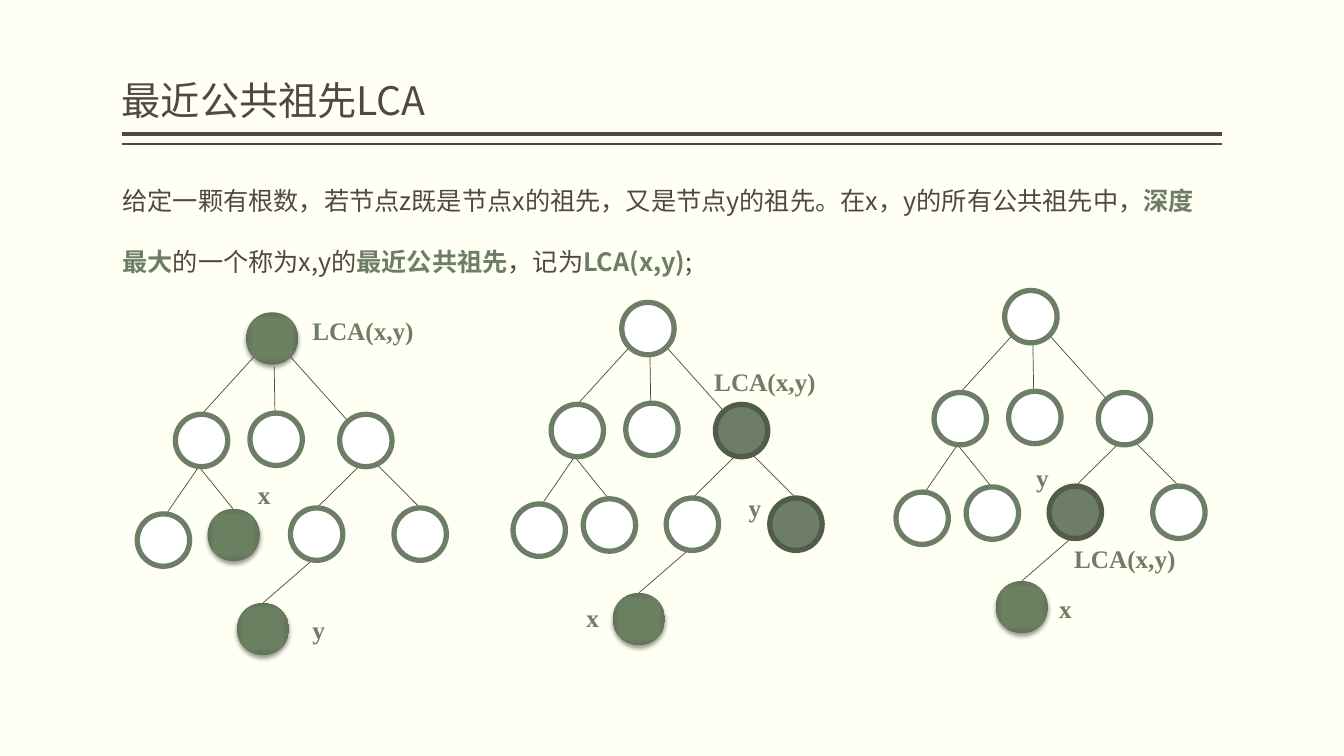
from lxml import etree
from pptx import Presentation
from pptx.dml.color import RGBColor
from pptx.enum.shapes import MSO_CONNECTOR, MSO_SHAPE
from pptx.enum.text import MSO_ANCHOR
from pptx.oxml import parse_xml
from pptx.oxml.ns import nsdecls, qn
from pptx.util import Cm, Pt

STRAIGHT = MSO_CONNECTOR.STRAIGHT
OVAL = MSO_SHAPE.OVAL
TOP, BOTTOM = MSO_ANCHOR.TOP, MSO_ANCHOR.BOTTOM

IVORY, BROWN, GREEN, DARK_GREEN, WHITE = "FFFFF3", "514843", "6D7D66", "515C4B", "FFFFFF"
SANS, SERIF = "Noto Sans CJK SC", "Times New Roman"
DIAMETER = 1.32

GLOSSY_FILL = (
    f'<a:gradFill {nsdecls("a")} rotWithShape="1"><a:gsLst>'
    '<a:gs pos="0"><a:srgbClr val="6B8162"/></a:gs>'
    '<a:gs pos="71000"><a:srgbClr val="6A8061"/></a:gs>'
    '<a:gs pos="100000"><a:srgbClr val="5F7256"/></a:gs></a:gsLst>'
    '<a:path path="rect"><a:fillToRect l="50000" t="50000" r="50000" b="50000"/></a:path>'
    '</a:gradFill>')
SOFT_SHADOW = (
    f'<a:outerShdw {nsdecls("a")} blurRad="39370" dist="25400" dir="5400000" rotWithShape="0">'
    '<a:srgbClr val="000000"><a:alpha val="38000"/></a:srgbClr></a:outerShdw>')

# Node offsets from the root circle, in cm
NODES = {
    "root": (0, 0),
    "left": (-1.78, 2.57), "middle": (0.1, 2.54), "right": (2.36, 2.57),
    "left-left": (-2.74, 5.08), "left-right": (-0.97, 4.95),
    "right-left": (1.12, 4.93), "right-right": (3.73, 4.93),
    "bottom": (-0.23, 7.32),
}
# Edge ends, measured from the root circle in the same way
EDGES = [
    (0.2, 1.12, -1.12, 2.57), (0.71, 1.37, 0.73, 2.57), (1.12, 1.12, 2.57, 2.74),
    (-1.17, 3.86, -2.01, 5.08), (-1.17, 3.91, -0.33, 4.95),
    (2.95, 3.78, 1.78, 4.93), (3.3, 3.84, 4.39, 4.93), (0.43, 7.32, 1.7, 6.22),
]
# Root position, styles of the marked nodes, labels with their positions
TREES = [
    ((6.2, 7.87), {"root": "glossy", "left-right": "glossy", "bottom": "glossy"},
     [("y", 7.62, 15.34), ("x", 6.25, 11.94), ("LCA(x,y)", 7.62, 7.82)]),
    ((15.67, 7.62), {"right": "solid", "right-right": "solid", "bottom": "glossy"},
     [("y", 18.62, 12.27), ("x", 14.53, 15.04), ("LCA(x,y)", 17.75, 9.09)]),
    ((25.32, 7.32), {"right-left": "solid", "bottom": "glossy"},
     [("y", 25.86, 11.53), ("x", 26.44, 14.81), ("LCA(x,y)", 26.82, 13.56)]),
]


def color(value):
    return RGBColor.from_string(value)


class SlideBuilder:
    """Draws styled elements on one slide; lengths are in cm."""

    node_styles = {"plain": (WHITE, GREEN), "solid": (GREEN, DARK_GREEN)}

    def __init__(self, slide):
        self.slide = slide
        slide.background.fill.solid()
        slide.background.fill.fore_color.rgb = color(IVORY)

    def line(self, x1, y1, x2, y2, width):
        connector = self.slide.shapes.add_connector(
            STRAIGHT, Cm(x1), Cm(y1), Cm(x2), Cm(y2))
        connector.line.width = Pt(width)
        connector.line.color.rgb = color(BROWN)
        etree.SubElement(connector._element.spPr, qn("a:effectLst"))

    def node(self, x, y, style):
        shape = self.slide.shapes.add_shape(
            OVAL, Cm(x), Cm(y), Cm(DIAMETER), Cm(DIAMETER))
        shape.shadow.inherit = False
        if style == "glossy":
            shape.line.fill.background()
            shape.fill.background()
            properties = shape._element.spPr
            properties.replace(properties.find(qn("a:noFill")), parse_xml(GLOSSY_FILL))
            properties.find(qn("a:effectLst")).append(parse_xml(SOFT_SHADOW))
            return
        fill, outline = self.node_styles[style]
        shape.fill.solid()
        shape.fill.fore_color.rgb = color(fill)
        shape.line.color.rgb = color(outline)
        shape.line.width = Pt(3.78)

    def text(self, x, y, width, height, runs, size, name,
             line_spacing=1, side_inset=0.25, anchor=TOP):
        frame = self.slide.shapes.add_textbox(
            Cm(x), Cm(y), Cm(width), Cm(height)).text_frame
        frame_format = {
            "word_wrap": True, "vertical_anchor": anchor,
            "margin_left": Cm(side_inset), "margin_right": Cm(side_inset),
            "margin_top": Cm(0.13), "margin_bottom": Cm(0.13)}
        for key, value in frame_format.items():
            setattr(frame, key, value)
        paragraph = frame.paragraphs[0]
        paragraph.line_spacing = line_spacing
        for content, ink, bold in runs:
            run = paragraph.add_run()
            run.text = content
            run.font.color.rgb = color(ink)
            for key, value in {"size": Pt(size), "name": name, "bold": bold}.items():
                setattr(run.font, key, value)
            east_asian = etree.SubElement(run.font._element, qn("a:ea"))
            east_asian.set("typeface", name)

    def label(self, content, x, y):
        width = 1.17 if len(content) == 1 else 3.3
        self.text(x, y, width, 1.02, [(content, GREEN, True)], 18, SERIF)

    def tree(self, root, marked, labels):
        left, top = root
        for x1, y1, x2, y2 in EDGES:
            self.line(left + x1, top + y1, left + x2, top + y2, 0.5)
        for name, (x, y) in NODES.items():
            self.node(left + x, top + y, marked.get(name, "plain"))
        for label in labels:
            self.label(*label)


def main():
    presentation = Presentation()
    presentation.slide_width, presentation.slide_height = Cm(33.87), Cm(19.05)
    builder = SlideBuilder(presentation.slides.add_slide(presentation.slide_layouts[6]))

    # Title with its double rule
    for y, width in ((3.38, 3), (3.63, 1)):
        builder.line(3.07, y, 30.8, y, width)
    builder.text(3.07, 0.2, 27.74, 3.05, [("最近公共祖先LCA", BROWN, False)], 28, SANS,
                 line_spacing=0.9, side_inset=0, anchor=BOTTOM)

    # Definition
    builder.text(2.84, 3.78, 27.94, 3.1, [
        ("给定一颗有根数，若节点z既是节点x的祖先，又是节点y的祖先。在x，y的所有公共祖先中，", BROWN, False),
        ("深度最大", GREEN, True),
        ("的一个称为x,y的", BROWN, False),
        ("最近公共祖先", GREEN, True),
        ("，记为", BROWN, False),
        ("LCA(x,y)", GREEN, True),
        (";", BROWN, False),
    ], 18, SANS, line_spacing=2)

    # Three example trees
    for tree in TREES:
        builder.tree(*tree)

    presentation.save("out.pptx")


if __name__ == "__main__":
    main()
